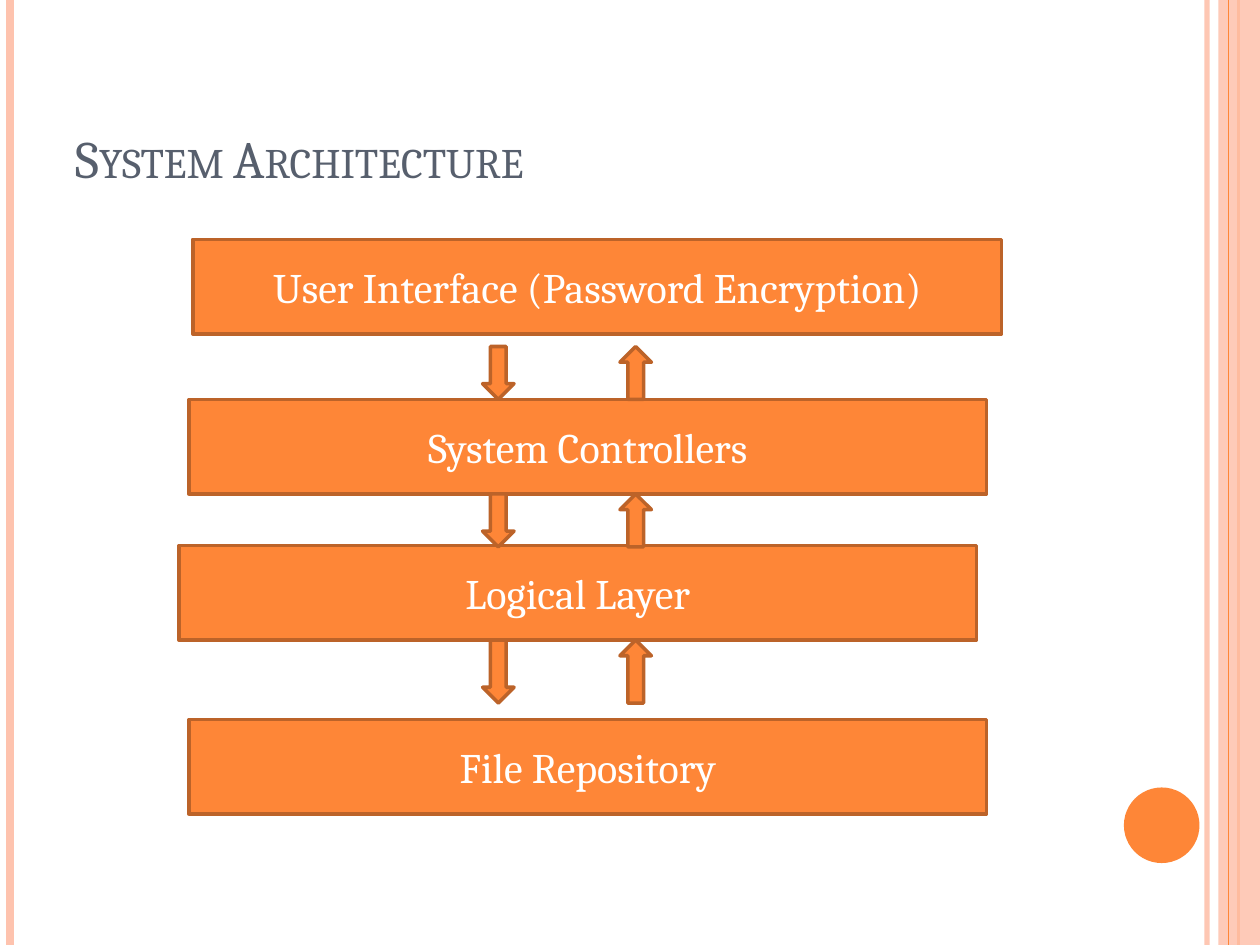
from lxml.etree import SubElement
from pptx import Presentation
from pptx.dml.color import RGBColor
from pptx.enum.shapes import MSO_CONNECTOR, MSO_SHAPE as Preset
from pptx.enum.text import MSO_ANCHOR as Anchor, PP_ALIGN as Align
from pptx.oxml.ns import qn
from pptx.util import Inches, Pt

ORANGE = RGBColor(0xFE, 0x86, 0x37)
RUST = RGBColor(0xBC, 0x63, 0x29)
PEACH = RGBColor(0xFE, 0xC3, 0xAE)
SLATE = RGBColor(0x57, 0x5F, 0x6D)
WHITE = RGBColor(0xFF, 0xFF, 0xFF)
FONT = "Cambria"
HEIGHT = 7.5

LAYERS = [
    ("File Repository", 1.5, 5.71, 6.33),
    ("Logical Layer", 1.42, 4.33, 6.33),
    ("System Controllers", 1.5, 3.17, 6.33),
    ("User Interface (Password Encryption)", 1.53, 1.9, 6.42),
]
FLOWS = [(Preset.DOWN_ARROW, 3.83), (Preset.UP_ARROW, 4.92)]
GAPS = [(2.75, 0.42), (3.92, 0.42), (5.08, 0.5)]


def set_opacity(element, percent):
    color = next(element.iter(qn("a:srgbClr")))
    SubElement(color, qn("a:alpha")).set("val", str(percent * 1000))


def add_stripe(slide, x, color, weight, opacity=100):
    stripe = slide.shapes.add_connector(
        MSO_CONNECTOR.STRAIGHT, Inches(x), 0, Inches(x), Inches(HEIGHT))
    stripe.line.color.rgb = color
    stripe.line.width = Pt(weight)
    properties = stripe._element.spPr
    SubElement(properties, qn("a:effectLst"))
    if opacity < 100:
        set_opacity(properties, opacity)


def add_block(slide, preset, box, fill, outline=None):
    block = slide.shapes.add_shape(preset, *map(Inches, box))
    block.shadow.inherit = False
    block.fill.solid()
    block.fill.fore_color.rgb = fill
    if outline is None:
        block.line.fill.background()
    else:
        block.line.color.rgb = outline
        block.line.width = Pt(2)
    return block


def write(shape, text, size, color, align, anchor):
    frame = shape.text_frame
    frame.word_wrap = True
    frame.vertical_anchor = anchor
    paragraph = frame.paragraphs[0]
    paragraph.alignment = align
    run = paragraph.add_run()
    run.text = text
    run.font.name = FONT
    run.font.size = Pt(size)
    run.font.color.rgb = color
    return run


def add_frame(slide):
    add_stripe(slide, 9.58, PEACH, 3, 93)
    add_stripe(slide, 0.08, PEACH, 4.5)
    add_stripe(slide, 9.83, ORANGE, 1.5)
    band = add_block(slide, Preset.RECTANGLE, (9.67, 0, 0.33, HEIGHT), PEACH)
    set_opacity(band._element.spPr, 87)
    add_stripe(slide, 9.75, ORANGE, 0.75)
    add_block(slide, Preset.OVAL, (8.92, 6.25, 0.6, 0.6), ORANGE)


def add_title(slide, text):
    title = slide.shapes.add_textbox(*map(Inches, (0.5, 0.3, 8.17, 1.25)))
    run = write(title, text, 30, SLATE, Align.LEFT, Anchor.BOTTOM)
    run.font._element.set("cap", "small")


def add_layer(slide, name, left, top, width):
    layer = add_block(
        slide, Preset.RECTANGLE, (left, top, width, 0.75), ORANGE, RUST)
    write(layer, name, 24, WHITE, Align.CENTER, Anchor.MIDDLE)


def main():
    deck = Presentation()
    deck.slide_width = Inches(10)
    deck.slide_height = Inches(HEIGHT)
    slide = deck.slides.add_slide(deck.slide_layouts[6])
    add_frame(slide)
    add_title(slide, "System Architecture")
    for layer in LAYERS:
        add_layer(slide, *layer)
    for arrow, left in FLOWS:
        for top, height in GAPS:
            add_block(slide, arrow, (left, top, 0.25, height), ORANGE, RUST)
    deck.save("out.pptx")


main()
